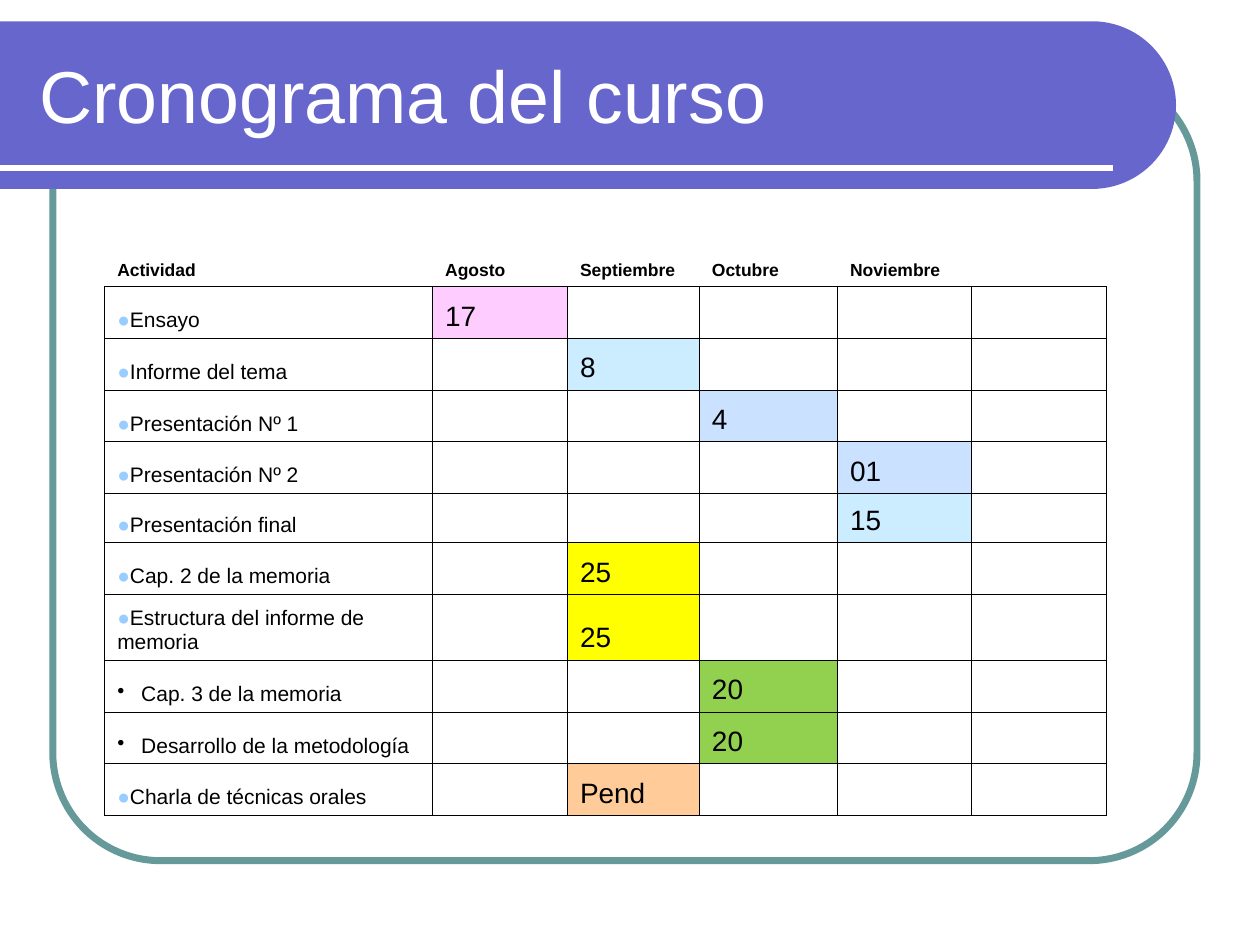
import math

import pptx
import pptx.dml.color
import pptx.enum.shapes
import pptx.enum.text
import pptx.oxml
import pptx.oxml.ns
import pptx.util
from lxml import etree

Pt = pptx.util.Pt
FONT = "Arial"
BLACK = "000000"
WHITE = "FFFFFF"
BULLET_BLUE = "99CCFF"
BORDER_WIDTH = 0.45

COLUMN_WIDTHS = [187.4, 77.1, 75.4, 78.9, 76.6, 77.1]
ROW_HEIGHT = 29.6
SPECIAL_HEIGHTS = {5: 28.1, 7: 37.5}
HEADINGS = ["Actividad", "Agosto", "Septiembre", "Octubre", "Noviembre", ""]
ACTIVITIES = [
    ("Ensayo", "dot", "Agosto", "17", "FFCCFF"),
    ("Informe del tema", "dot", "Septiembre", "8", "CCECFF"),
    ("Presentación Nº 1", "dot", "Octubre", "4", "CAE2FF"),
    ("Presentación Nº 2", "dot", "Noviembre", "01", "CAE2FF"),
    ("Presentación final", "dot", "Noviembre", "15", "CCECFF"),
    ("Cap. 2 de la memoria", "dot", "Septiembre", "25", "FFFF00"),
    ("Estructura del informe de memoria", "dot", "Septiembre", "25", "FFFF00"),
    ("Cap. 3 de la memoria", "list", "Octubre", "20", "92D050"),
    ("Desarrollo de la metodología", "list", "Octubre", "20", "92D050"),
    ("Charla de técnicas orales", "dot", "Septiembre", "Pend", "FFCC99"),
]


def colour(value):
    return pptx.dml.color.RGBColor.from_string(value)


def add_text(para, text, size=12, color=BLACK, bold=False):
    span = para.add_run()
    span.text = text
    span.font.name = FONT
    span.font.size = Pt(size)
    span.font.bold = bold
    span.font.color.rgb = colour(color)


def add_list_bullet(para, indent=13.7):
    properties = para._p.get_or_add_pPr()
    properties.set("marL", str(Pt(indent)))
    properties.set("indent", str(-Pt(indent)))
    bullet = etree.SubElement(properties, pptx.oxml.ns.qn("a:buChar"))
    bullet.set("char", "•")


def set_borders(cell, visible):
    properties = cell._tc.get_or_add_tcPr()
    for side in "LRTB":
        border = etree.SubElement(properties, pptx.oxml.ns.qn("a:ln" + side))
        border.set("w", str(Pt(BORDER_WIDTH)))
        if side in visible:
            fill = etree.SubElement(border, pptx.oxml.ns.qn("a:solidFill"))
            etree.SubElement(fill, pptx.oxml.ns.qn("a:srgbClr")).set("val", BLACK)
        else:
            etree.SubElement(border, pptx.oxml.ns.qn("a:noFill"))


def add_frame(page, left, top, width, height):
    frame = page.shapes.add_shape(
        pptx.enum.shapes.MSO_SHAPE.ROUNDED_RECTANGLE,
        Pt(left), Pt(top), Pt(width), Pt(height))
    frame.adjustments[0] = 0.137
    frame.shadow.inherit = False
    frame.fill.background()
    frame.line.color.rgb = colour("669999")
    frame.line.width = Pt(4)


def add_title_band(page, left, top, width, height):
    radius = height / 2
    center = left + width - radius
    steps = 48
    angles = [math.pi * (step / steps - 0.5) for step in range(steps + 1)]
    arc = [(Pt(center + radius * math.cos(angle)),
            Pt(top + radius * (1 + math.sin(angle)))) for angle in angles]
    outline = page.shapes.build_freeform(Pt(left), Pt(top))
    outline.add_line_segments(arc + [(Pt(left), Pt(top + height))], close=True)
    band = outline.convert_to_shape()
    band.shadow.inherit = False
    band.fill.solid()
    band.fill.fore_color.rgb = colour("6666CC")
    band.line.fill.background()

    rule_top = top + height - 12
    rule = page.shapes.add_connector(
        pptx.enum.shapes.MSO_CONNECTOR.STRAIGHT,
        Pt(left), Pt(rule_top), Pt(left + width - 36), Pt(rule_top))
    rule.line.color.rgb = colour(WHITE)
    rule.line.width = Pt(3)
    etree.SubElement(rule._element.spPr, pptx.oxml.ns.qn("a:effectLst"))

    title = page.shapes.title
    title.left, title.top = Pt(left + 15.1), Pt(top + 5.8)
    title.width, title.height = Pt(631.4), Pt(72)
    title.text_frame.vertical_anchor = pptx.enum.text.MSO_ANCHOR.MIDDLE
    title.text_frame.word_wrap = True
    para = title.text_frame.paragraphs[0]
    para.alignment = pptx.enum.text.PP_ALIGN.LEFT
    add_text(para, "Cronograma del curso", size=42, color=WHITE)
    rule._element.addnext(title._element)


def format_cell(cell, borders, fill=None):
    cell.vertical_anchor = pptx.enum.text.MSO_ANCHOR.BOTTOM
    set_borders(cell, borders)
    if fill:
        cell.fill.solid()
        cell.fill.fore_color.rgb = colour(fill)
    else:
        cell.fill.background()
    para = cell.text_frame.paragraphs[0]
    if fill is None:
        para.font.size = Pt(10)
    return para


def add_schedule(page, left, top):
    heights = [SPECIAL_HEIGHTS.get(row, ROW_HEIGHT)
               for row in range(len(ACTIVITIES) + 1)]
    table = page.shapes.add_table(
        len(heights), len(COLUMN_WIDTHS), Pt(left), Pt(top),
        Pt(sum(COLUMN_WIDTHS)), Pt(sum(heights))).table
    table.first_row = False
    table.horz_banding = False
    for column, width in zip(table.columns, COLUMN_WIDTHS):
        column.width = Pt(width)
    for row, height in zip(table.rows, heights):
        row.height = Pt(height)

    for index, heading in enumerate(HEADINGS):
        para = format_cell(table.cell(0, index), "B")
        if heading:
            add_text(para, heading, size=10, bold=True)

    for row, (name, marker, month, day, fill) in enumerate(ACTIVITIES, start=1):
        for index, heading in enumerate(HEADINGS):
            cell = table.cell(row, index)
            scheduled = heading == month
            para = format_cell(cell, "LRTB", fill if scheduled else None)
            if scheduled:
                add_text(para, day, size=16)
            elif index == 0:
                if marker == "dot":
                    add_text(para, "●", color=BULLET_BLUE)
                else:
                    add_list_bullet(para)
                add_text(para, name)


def main():
    deck = pptx.Presentation()
    deck.slide_width, deck.slide_height = Pt(720), Pt(540)
    page = deck.slides.add_slide(deck.slide_layouts[5])
    add_frame(page, 30.2, 41.8, 653.8, 450)
    add_title_band(page, 0, 12.2, 672, 95.8)
    add_schedule(page, 59.8, 134.1)
    deck.save("out.pptx")


if __name__ == "__main__":
    main()
